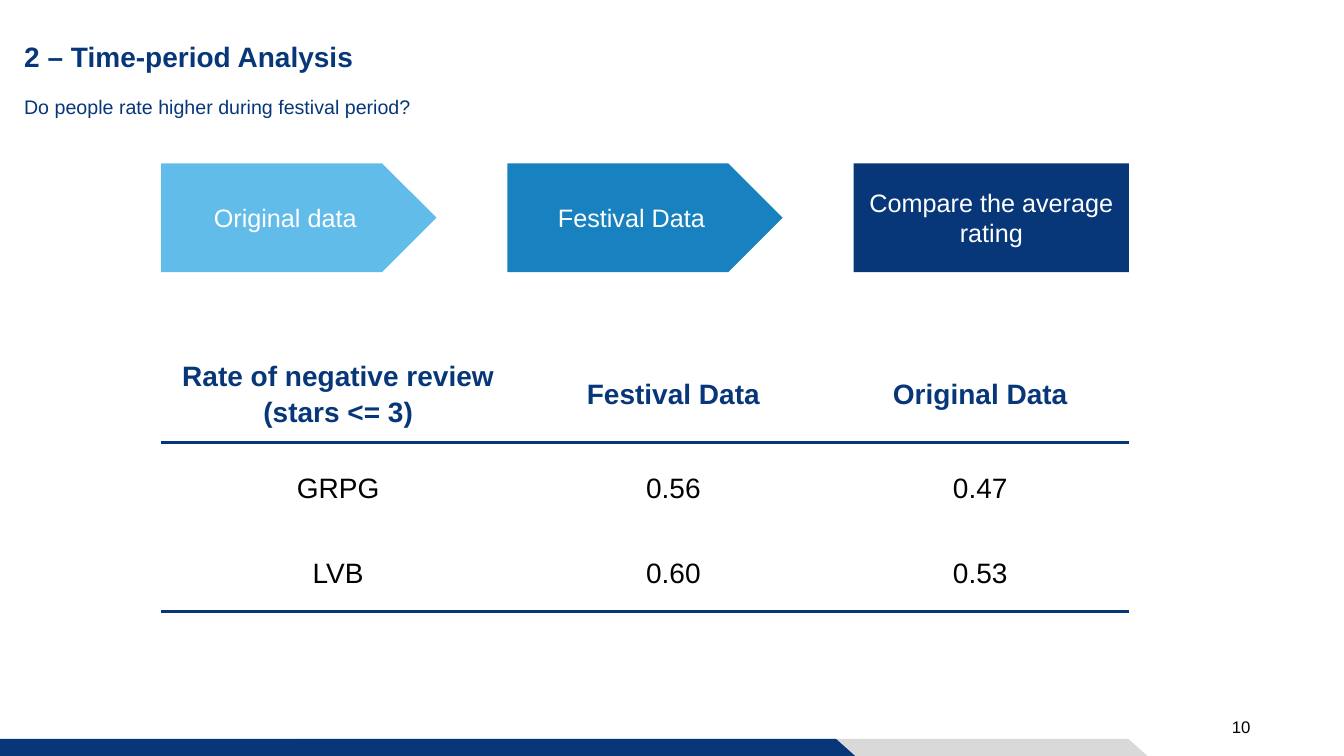
from typing import NamedTuple

from lxml import etree
from pptx import Presentation, util as u
from pptx.dml.color import RGBColor
from pptx.enum import shapes, text
from pptx.oxml.ns import qn

NAVY = RGBColor(0x07, 0x37, 0x79)
BLUE = RGBColor(0x17, 0x82, 0xBF)
SKY = RGBColor(0x62, 0xBC, 0xE9)
GREY = RGBColor(0xD9, 0xD9, 0xD9)
WHITE = RGBColor(0xFF, 0xFF, 0xFF)
BLACK = RGBColor(0, 0, 0)

WIDE, HIGH = u.Inches(13.33), u.Inches(7.5)
LEFT, SPAN = 12, 72
STEP_W = 20.48
COLS = (26.33, 23.55, 22.12)
ROWS = (13.33, 11.6, 10.8)
FONT = "Arial"


class Bar(NamedTuple):
    left: float
    right: float
    color: RGBColor


class Step(NamedTuple):
    label: str
    color: RGBColor
    point: float


BARS = (Bar(21.75, 85.37, GREY), Bar(0, 63.62, NAVY))
STEPS = (
    Step("Original data", SKY, 0.5),
    Step("Festival Data", BLUE, 0.5),
    Step("Compare the average rating", NAVY, 0),
)
RATES = (
    ("Rate of negative review (stars <= 3)", "Festival Data", "Original Data"),
    ("GRPG", "0.56", "0.47"),
    ("LVB", "0.60", "0.53"),
)


def across(share: float) -> int:
    return round(WIDE * share / 100)


def down(share: float) -> int:
    return round(HIGH * share / 100)


def area(left: float, top: float, width: float, height: float) -> tuple[int, ...]:
    return across(left), down(top), across(width), down(height)


def write(frame, words: str, *, size: float, color: RGBColor, bold: bool = False,
          align=text.PP_ALIGN.LEFT, anchor=text.MSO_ANCHOR.MIDDLE,
          space: float = 1.0, inset: float = 0.05) -> None:
    frame.word_wrap = True
    frame.auto_size = text.MSO_AUTO_SIZE.NONE
    frame.vertical_anchor = anchor
    frame.margin_left = frame.margin_right = u.Inches(0.1)
    frame.margin_top = frame.margin_bottom = u.Inches(inset)
    style(frame, words, size, color, bold, align, space)


def style(frame, words: str, size: float, color: RGBColor, bold: bool,
          align, space: float) -> None:
    para = frame.paragraphs[0]
    para.text = words
    para.alignment = align
    para.line_spacing = space
    font = para.runs[0].font
    font.name, font.size, font.bold = FONT, u.Pt(size), bold
    font.color.rgb = color


def paint(shape, color: RGBColor) -> None:
    shape.shadow.inherit = False
    shape.fill.solid()
    shape.fill.fore_color.rgb = color
    shape.line.fill.background()


def draw_bar(slide, bar: Bar) -> None:
    top, base = down(97.73), down(100)
    start = across(bar.left)
    form = slide.shapes.build_freeform(start, top)
    form.add_line_segments([
        (across(bar.right - 1.42), top), (across(bar.right), base), (start, base),
    ])
    paint(form.convert_to_shape(), bar.color)


def draw_step(slide, index: int, step: Step) -> None:
    pitch = (SPAN - STEP_W) / (len(STEPS) - 1)
    box = area(LEFT + index * pitch, 21.6, STEP_W, 14.4)
    shape = slide.shapes.add_shape(shapes.MSO_SHAPE.PENTAGON, *box)
    shape.adjustments[0] = step.point
    paint(shape, step.color)
    write(shape.text_frame, step.label, size=18, color=WHITE,
          align=text.PP_ALIGN.CENTER)


def edge(cell, side: str, color: RGBColor, width: float, place: int) -> None:
    line = etree.Element(qn(f"a:ln{side}"), w=str(u.Pt(width)))
    fill = etree.SubElement(line, qn("a:solidFill"))
    etree.SubElement(fill, qn("a:srgbClr"), val=str(color))
    cell._tc.get_or_add_tcPr().insert(place, line)


def draw_cell(cell, words: str, row: int) -> None:
    head = row == 0
    cell.vertical_anchor = text.MSO_ANCHOR.MIDDLE
    cell.fill.background()
    style(cell.text_frame, words, 20, NAVY if head else BLACK, head,
          text.PP_ALIGN.CENTER, 1.15)
    ruled = {"T": row == 1, "B": row in (0, len(ROWS) - 1)}
    for place, side in enumerate("LRTB"):
        rule = (NAVY, 2.25) if ruled.get(side) else (WHITE, 1)
        edge(cell, side, *rule, place)


def draw_table(slide) -> None:
    box = area(LEFT, 45.2, SPAN, sum(ROWS))
    table = slide.shapes.add_table(len(ROWS), len(COLS), *box).table
    table.first_row = table.horz_banding = False
    for col, share in zip(table.columns, COLS):
        col.width = across(share)
    for row, share in zip(table.rows, ROWS):
        row.height = down(share)
    for i, line in enumerate(RATES):
        for j, words in enumerate(line):
            draw_cell(table.cell(i, j), words, i)


def main() -> None:
    deck = Presentation()
    deck.slide_width, deck.slide_height = WIDE, HIGH
    slide = deck.slides.add_slide(deck.slide_layouts[5])

    title = slide.shapes.title
    title.left, title.top, title.width, title.height = area(1.05, 4.13, 73.44, 7.2)
    write(title.text_frame, "2 – Time-period Analysis", size=20, color=NAVY,
          bold=True, space=0.9, inset=0.1)

    for bar in BARS:
        draw_bar(slide, bar)

    number = slide.shapes.add_textbox(*area(90.92, 94.13, 6.9, 4))
    write(number.text_frame, "10", size=12, color=BLACK,
          anchor=text.MSO_ANCHOR.TOP)
    query = slide.shapes.add_textbox(*area(1.05, 11.33, 86.5, 5.47))
    write(query.text_frame, "Do people rate higher during festival period?",
          size=14, color=NAVY)

    for index, step in enumerate(STEPS):
        draw_step(slide, index, step)
    draw_table(slide)
    deck.save("out.pptx")


if __name__ == "__main__":
    main()
